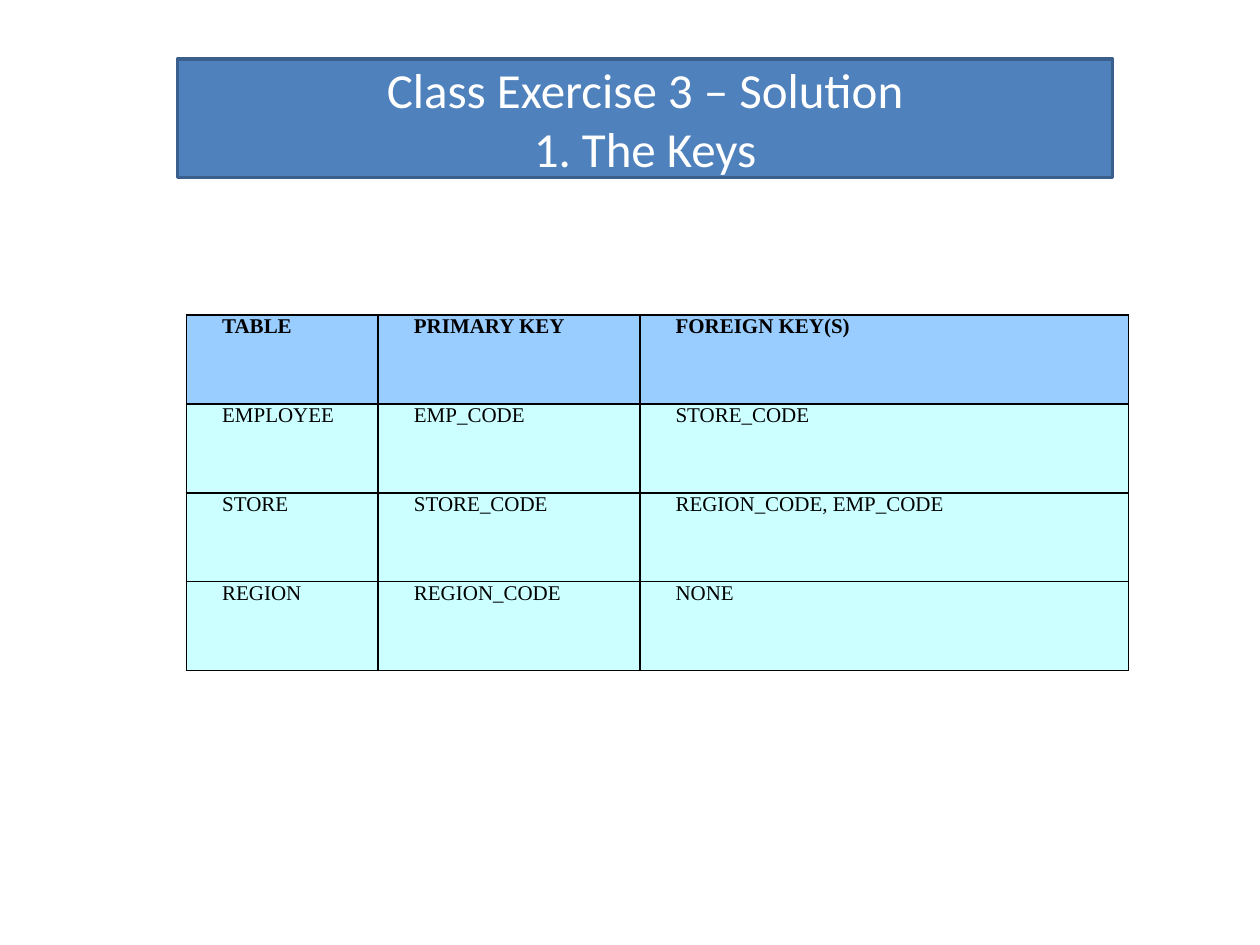
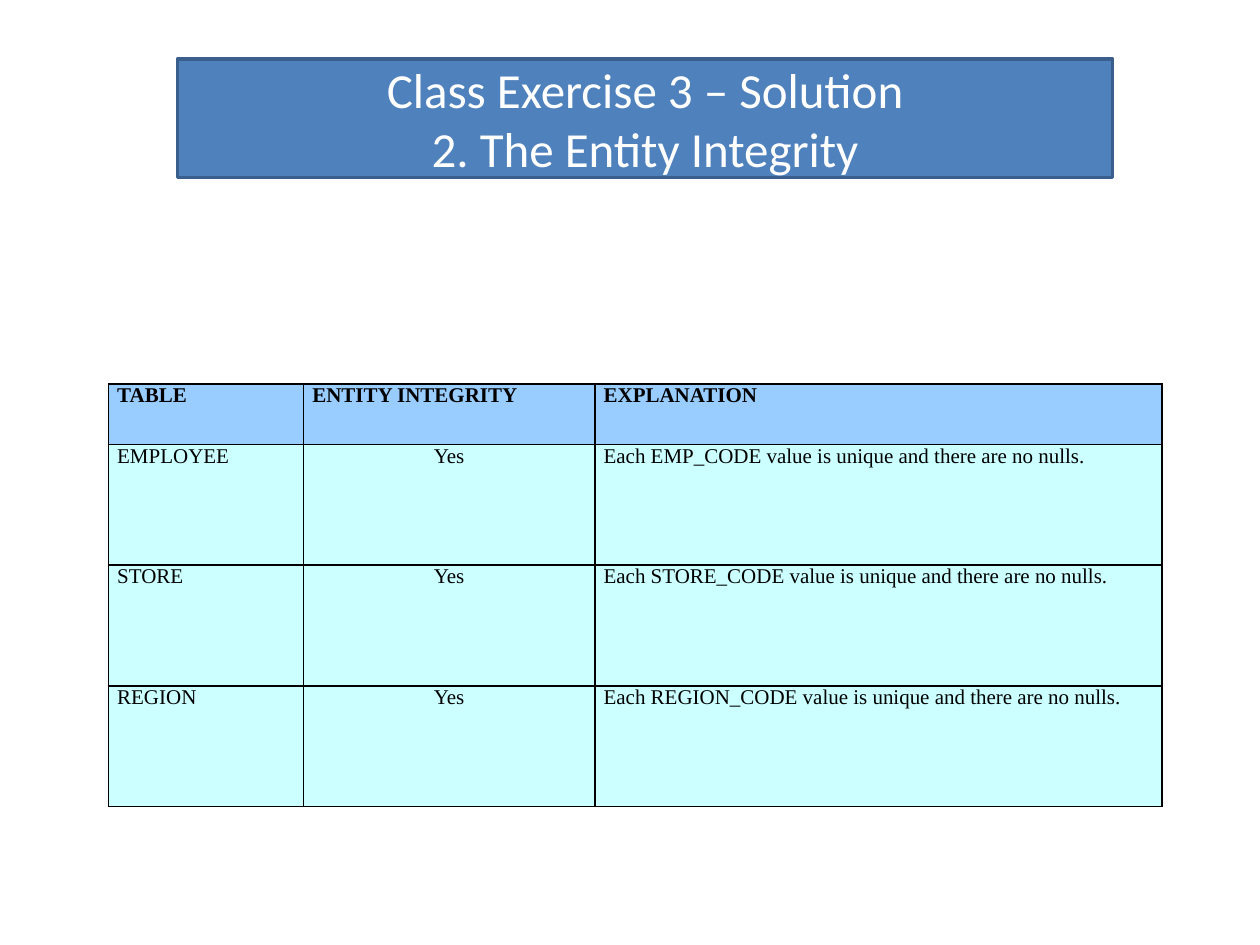
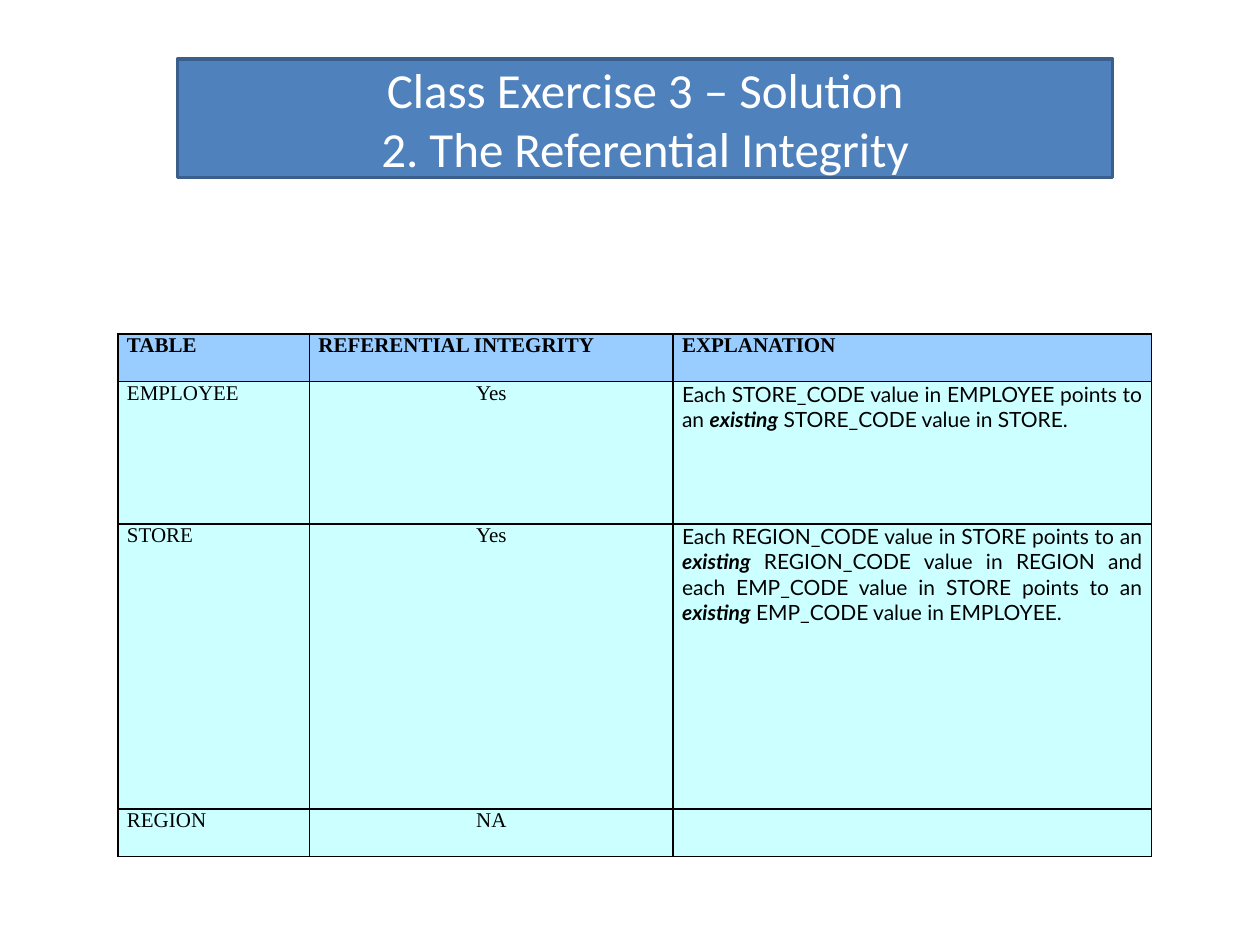
from lxml import etree
from pptx import Presentation
from pptx import util as u
from pptx.dml import color
from pptx.enum import text
from pptx.oxml import ns

ALIGN = text.PP_ALIGN
LEFT, CENTER = ALIGN.JUSTIFY, ALIGN.CENTER
HEADING = "Class Exercise 3 – Solution"

THEME = {
    "band": "4F81BD",
    "band_line": "3A5F8C",
    "band_text": "FFFFFF",
    "header": "99CCFF",
    "body": "CCFFFF",
    "ink": "000000",
    "title_font": "Calibri",
    "table_font": "Times New Roman",
    "note_font": "Lato",
    "title_size": 28,
    "table_size": 12,
    "band_line_width": 2,
    "border_width": 1,
    "cell_inset": 5.1,
}
BAND_BOX = {"left": 101.5, "top": 33.8, "width": 534.2, "height": 67.7}

SLIDES = [
    {
        "title": "1. The Keys",
        "origin": (106.5, 180),
        "columns": [109.6, 149.5, 279.2],
        "row_unit": 50.8,
        "row_units": [1, 1, 1, 1],
        "aligns": [LEFT, LEFT, LEFT],
        "indent": 15.4,
        "last_font": "table_font",
        "rows": [
            ("TABLE", "PRIMARY KEY", "FOREIGN KEY(S)"),
            ("EMPLOYEE", "EMP_CODE", "STORE_CODE"),
            ("STORE", "STORE_CODE", "REGION_CODE, EMP_CODE"),
            ("REGION", "REGION_CODE", "NONE"),
        ],
    },
    {
        "title": "2. The Entity Integrity",
        "origin": (61.9, 219.5),
        "columns": [111.5, 166.5, 324],
        "row_unit": 34.5,
        "row_units": [1, 2, 2, 2],
        "aligns": [LEFT, CENTER, LEFT],
        "indent": 0,
        "last_font": "table_font",
        "rows": [
            ("TABLE", "ENTITY INTEGRITY", "EXPLANATION"),
            ("EMPLOYEE", "Yes", "Each EMP_CODE value is unique and there are no nulls."),
            ("STORE", "Yes", "Each STORE_CODE value is unique and there are no nulls."),
            ("REGION", "Yes", "Each REGION_CODE value is unique and there are no nulls."),
        ],
    },
    {
        "title": "2. The Referential Integrity",
        "origin": (67.5, 190.8),
        "columns": [109.4, 207.8, 273.4],
        "row_unit": 27.15,
        "row_units": [1, 3, 6, 1],
        "aligns": [LEFT, CENTER, LEFT],
        "indent": 0,
        "last_font": "note_font",
        "rows": [
            ("TABLE", "REFERENTIAL INTEGRITY", "EXPLANATION"),
            ("EMPLOYEE", "Yes",
             "Each STORE_CODE value in EMPLOYEE points to an *existing* "
             "STORE_CODE value in STORE."),
            ("STORE", "Yes",
             "Each REGION_CODE value in STORE points to an *existing* REGION_CODE "
             "value in REGION and each EMP_CODE value in STORE points to an "
             "*existing* EMP_CODE value in EMPLOYEE."),
            ("REGION", "NA", ""),
        ],
    },
]


def apply(target, values):
    for name, value in values.items():
        setattr(target, name, value)


def rgb(name):
    return color.RGBColor.from_string(THEME[name])


def paint(fill, name):
    fill.solid()
    fill.fore_color.rgb = rgb(name)


def add_run(paragraph, words, ink, **font):
    run = paragraph.add_run()
    run.text = words
    apply(run.font, font)
    run.font.color.rgb = rgb(ink)


def add_title(slide, subtitle):
    title = slide.shapes.title
    apply(title, {name: u.Pt(value) for name, value in BAND_BOX.items()})
    paint(title.fill, "band")
    title.line.color.rgb = rgb("band_line")
    title.line.width = u.Pt(THEME["band_line_width"])
    frame = title.text_frame
    apply(frame, {"word_wrap": True, "auto_size": text.MSO_AUTO_SIZE.NONE,
                  "vertical_anchor": text.MSO_ANCHOR.MIDDLE})
    for paragraph, words in ((frame.paragraphs[0], HEADING), (frame.add_paragraph(), subtitle)):
        apply(paragraph, {"alignment": CENTER, "space_before": u.Pt(0)})
        add_run(paragraph, words, "band_text",
                name=THEME["title_font"], size=u.Pt(THEME["title_size"]))


def add_borders(cell):
    properties = cell._tc.get_or_add_tcPr()
    for side in ("a:lnL", "a:lnR", "a:lnT", "a:lnB"):
        line = etree.SubElement(properties, ns.qn(side), w=str(u.Pt(THEME["border_width"])))
        fill = etree.SubElement(line, ns.qn("a:solidFill"))
        etree.SubElement(fill, ns.qn("a:srgbClr"), val=THEME["ink"])


def fill_cell(cell, words, alignment, indent, font, header):
    apply(cell, {"margin_left": u.Pt(THEME["cell_inset"]), "margin_right": u.Pt(THEME["cell_inset"]),
                 "margin_top": 0, "margin_bottom": 0})
    add_borders(cell)
    paint(cell.fill, "header" if header else "body")
    paragraph = cell.text_frame.paragraphs[0]
    paragraph.alignment = alignment
    if indent:
        paragraph._p.get_or_add_pPr().set("marL", str(u.Pt(indent)))
    for index, part in enumerate(words.split("*")):
        if part:
            emphasis = index % 2 == 1
            add_run(paragraph, part, "ink", name=THEME[font], size=u.Pt(THEME["table_size"]),
                    bold=header or emphasis, italic=emphasis)


def add_key_table(slide, content):
    rows, columns = content["rows"], content["columns"]
    heights = [content["row_unit"] * units for units in content["row_units"]]
    left, top = content["origin"]
    table = slide.shapes.add_table(len(rows), len(columns), u.Pt(left), u.Pt(top),
                                   u.Pt(sum(columns)), u.Pt(sum(heights))).table
    apply(table, {"first_row": False, "horz_banding": False})
    for column, width in zip(table.columns, columns):
        column.width = u.Pt(width)
    for row_index, (row, height) in enumerate(zip(table.rows, heights)):
        row.height = u.Pt(height)
        header = row_index == 0
        for column_index, words in enumerate(rows[row_index]):
            last = column_index == len(columns) - 1
            fill_cell(
                table.cell(row_index, column_index), words,
                LEFT if header else content["aligns"][column_index], content["indent"],
                content["last_font"] if last and not header else "table_font", header)


presentation = Presentation()
apply(presentation, {"slide_width": u.Pt(720), "slide_height": u.Pt(540)})
for content in SLIDES:
    slide = presentation.slides.add_slide(presentation.slide_layouts[5])
    add_title(slide, content["title"])
    add_key_table(slide, content)
presentation.save("out.pptx")
